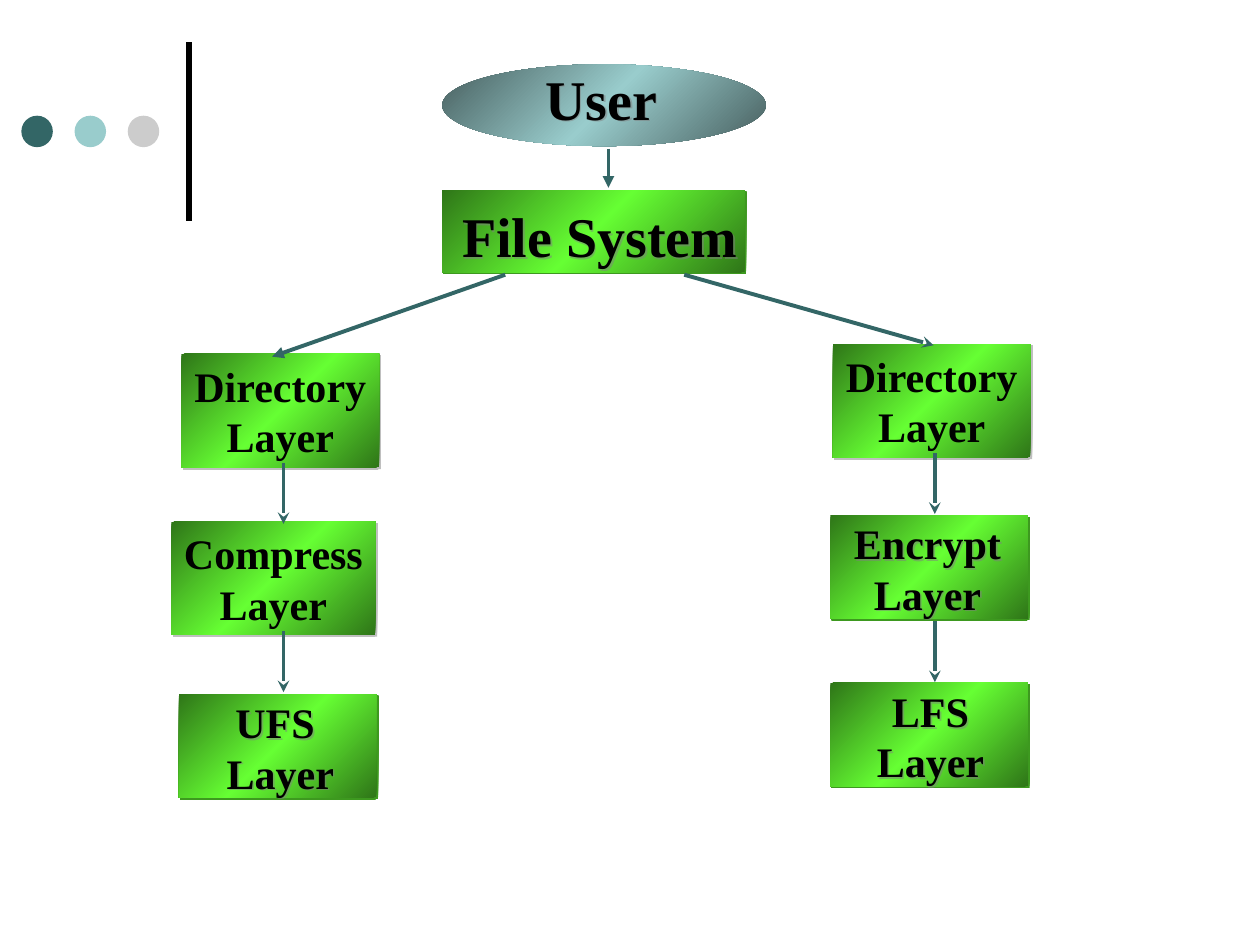
from copy import deepcopy

from lxml import etree
from pptx import Presentation
from pptx.dml import color
from pptx.enum import shapes, text
from pptx.oxml import ns
from pptx.util import Pt

FONT = "Times New Roman"
TEAL, AQUA, GREY = "336666", "99CCCC", "CCCCCC"
GREEN, SLATE = ("2F7618", "66FF33"), ("475E5E", AQUA)
SOLID, SOFT = ("3D991F", 100), ("808080", 50)  # shadow colour, opacity
STEP = 96.1  # from one layer of a column to the next
SPAN = 108  # label width, roomy enough for the longest name


def rgb(code):
    return color.RGBColor.from_string(code)


def node(parent, tag, **attrs):
    return etree.SubElement(parent, ns.qn(tag), {k: str(v) for k, v in attrs.items()})


def cast(item, tone, alpha):
    """Add a small shadow down and to the right."""
    drop = node(node(item._element.spPr, "a:effectLst"), "a:outerShdw",
                dist=Pt(1.4), dir=2700000, algn="ctr", rotWithShape=0)
    node(node(drop, "a:srgbClr", val=tone), "a:alpha", val=alpha * 1000)


def shape(slide, kind, box):
    item = slide.shapes.add_shape(kind, *map(Pt, box))
    item.line.fill.background()
    return item


def blend(item, edge, mid):
    """Fill with a diagonal gradient that is lightest halfway."""
    item.fill.gradient()
    item.fill.gradient_angle = 315
    stops = item._element.spPr.find(".//" + ns.qn("a:gsLst"))
    stops.insert(1, deepcopy(stops[0]))
    for stop, place, tone in zip(item.fill.gradient_stops, (0, 0.5, 1), (edge, mid, edge)):
        stop.position = place
        stop.color.rgb = rgb(tone)


def write(item, words, size, align):
    frame = item.text_frame
    frame.text = words
    frame.word_wrap = False
    frame.auto_size = text.MSO_AUTO_SIZE.SHAPE_TO_FIT_TEXT
    frame.vertical_anchor = text.MSO_ANCHOR.TOP
    for para in frame.paragraphs:
        para.alignment = align
        for run in para.runs:
            run.font.name, run.font.size, run.font.bold = FONT, Pt(size), True
            run.font.color.rgb = rgb("000000")


def label(slide, box, words, size, align):
    """Place unfilled text, whose shadow falls from the letters."""
    item = slide.shapes.add_textbox(*map(Pt, box))
    item.fill.background()
    cast(item, *SOFT)
    write(item, words, size, align)


def panel(slide, box, shade):
    item = shape(slide, shapes.MSO_SHAPE.RECTANGLE, box)
    blend(item, *GREEN)
    cast(item, *shade)
    return item


def line(slide, ends, tone, width, head=None):
    item = slide.shapes.add_connector(shapes.MSO_CONNECTOR.STRAIGHT, *map(Pt, ends))
    item.line.color.rgb = rgb(tone)
    item.line.width = Pt(width)
    if head:
        node(item.line._get_or_add_ln(), "a:tailEnd", type=head)
    node(item._element.spPr, "a:effectLst")


def motif(slide, x, y):
    line(slide, (x + 95.8, y + 102.2, x + 95.8, y), "000000", 3)
    for i, tone in enumerate((TEAL, AQUA, GREY)):
        dot = shape(slide, shapes.MSO_SHAPE.OVAL, (x + 30.4 * i, y + 42.3, 18, 18))
        dot.shadow.inherit = False
        dot.fill.solid()
        dot.fill.fore_color.rgb = rgb(tone)


def header(slide, x, y):
    """Place the user above the file system."""
    user = shape(slide, shapes.MSO_SHAPE.OVAL, (x, y, 185, 46.8))
    user.shadow.inherit = False
    blend(user, *SLATE)
    left = text.PP_ALIGN.LEFT
    label(slide, (x + 51.8, y - 3.6, 78.5, 45.4), "User", 32, left)
    panel(slide, (x, y + 72, 172.8, 46.8), SOLID)
    label(slide, (x + 4.3, y + 74.9, 172.1, 45.4), "File System", 32, left)
    line(slide, (x + 95, y + 48.2, x + 95, y + 70.6), TEAL, 2.25, "triangle")


def column(slide, x, y, layers):
    """Stack layers; each is a name, dx, dy, width and, if set apart, a label centre."""
    mid = text.PP_ALIGN.CENTER
    for name, dx, dy, width, axis in layers:
        words = name + "\nLayer"
        left, top = x + dx, y + dy
        if axis is None:
            item = panel(slide, (left, top, width, 64.8), SOFT)
            write(item, words, 24, mid)
        else:
            panel(slide, (left, top, width, 59), SOLID)
            label(slide, (left + axis - SPAN / 2, top - 2.1, SPAN, 64.8), words, 24, mid)
    for i in range(len(layers) - 1):
        top = y + 62.3 + STEP * i
        line(slide, (x + 58.3, top, x + 58.3, top + 34.8), TEAL, 2.25, "stealth")


def main():
    deck = Presentation()
    deck.slide_width, deck.slide_height = Pt(720), Pt(540)
    slide = deck.slides.add_slide(deck.slide_layouts[6])
    motif(slide, 12.2, 23.8)
    header(slide, 252.7, 36.7)
    column(slide, 103.7, 202.3, [
        ("Directory", 0, 0, 113, None),
        ("Compress", -5.8, 95.8, 116.6, None),
        ("UFS ", -1.5, 194.4, 113, 58),
    ])
    column(slide, 475.9, 196.6, [
        ("Directory", 0, 0, 113, None),
        ("Encrypt", -1.4, 97.9, 113, 55.5),
        ("LFS", -1.4, 193.6, 113, 57.2),
    ])
    line(slide, (288.7, 157, 155.5, 203.8), TEAL, 2.25, "triangle")
    line(slide, (391, 157, 533.5, 197.3), TEAL, 2.25, "stealth")
    deck.save("out.pptx")


if __name__ == "__main__":
    main()
